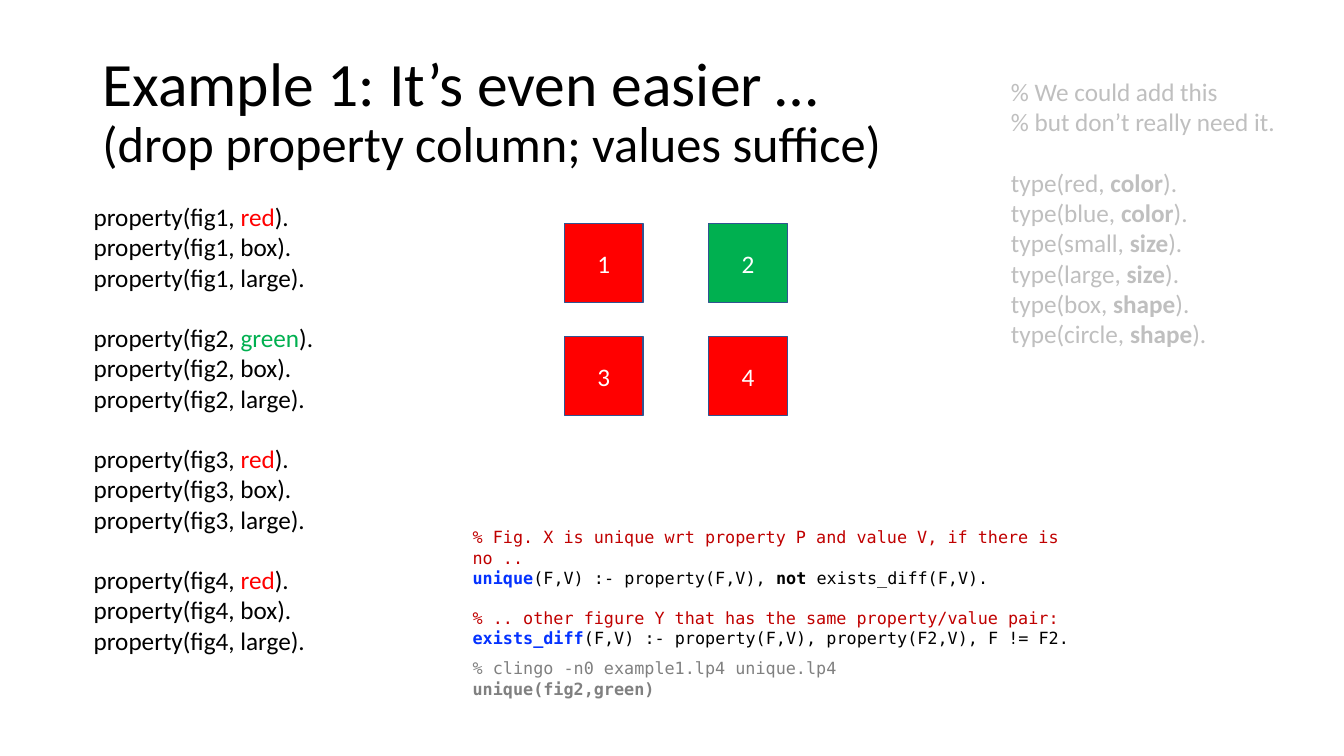
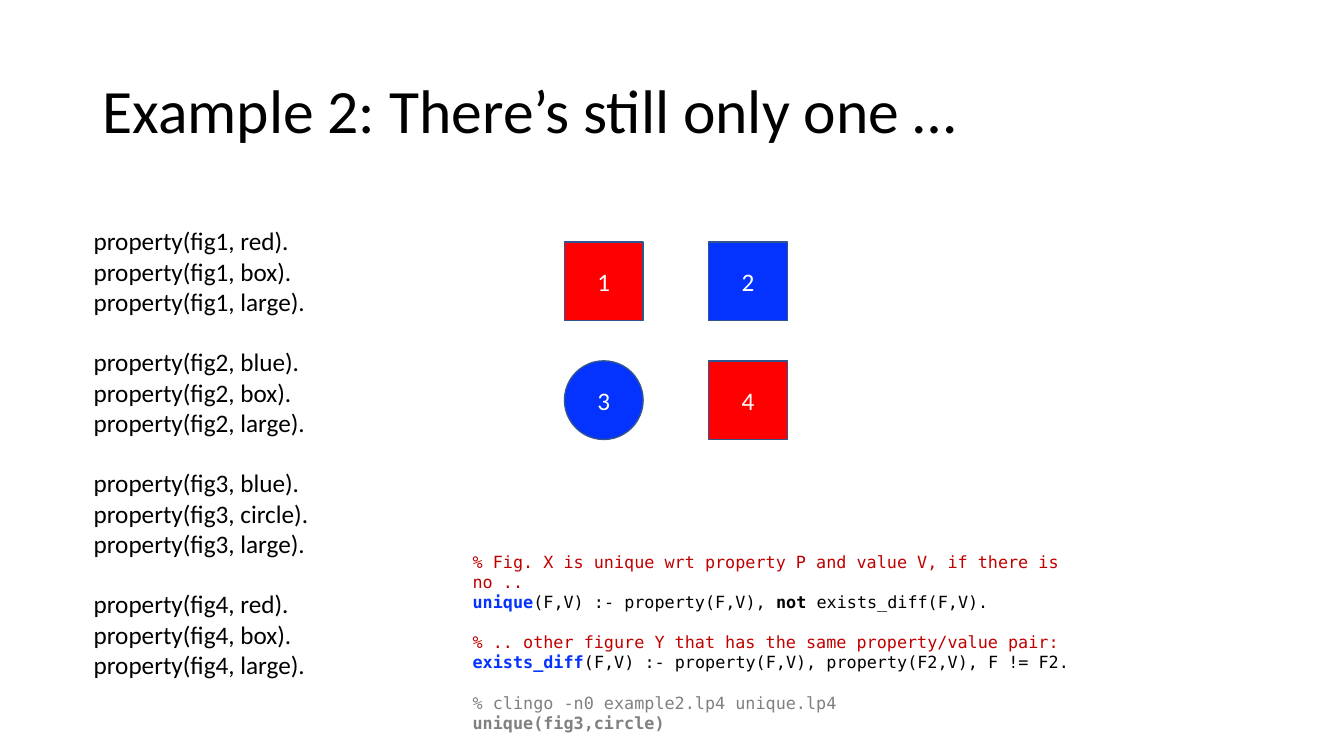
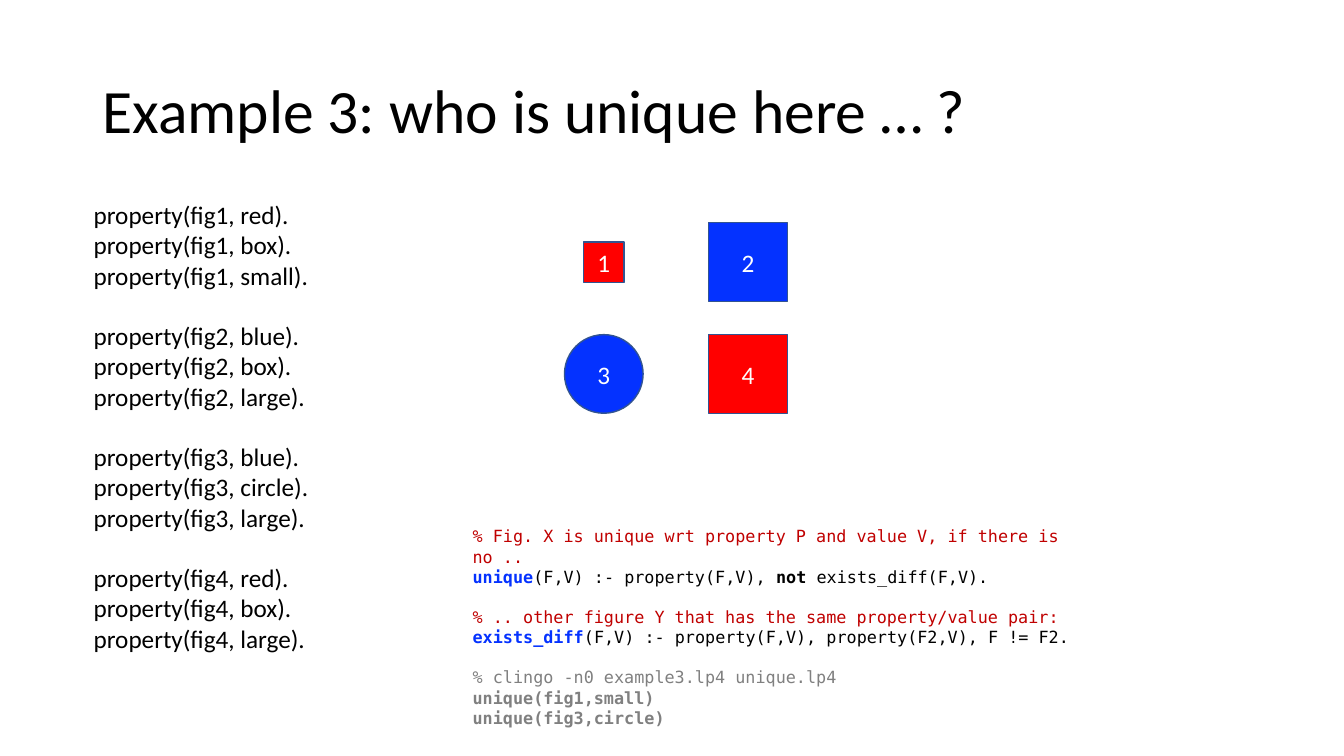
from dataclasses import dataclass, field

import pptx
import pptx.dml.color
import pptx.enum.shapes
import pptx.enum.text
import pptx.util

WIDTH, HEIGHT = pptx.util.Inches(13.33), pptx.util.Inches(7.5)
COLORS = {
    "black": "000000", "white": "FFFFFF", "red": "FF0000", "green": "00B050",
    "blue": "0432FF", "comment": "C00000", "output": "808080",
    "aside": "BFBFBF", "outline": "325491",
}
SHAPES = {
    "box": pptx.enum.shapes.MSO_SHAPE.RECTANGLE,
    "circle": pptx.enum.shapes.MSO_SHAPE.OVAL,
}
# Figure sides, and the grid the figures stand on, in percent of the slide
SIDES = {"large": 5.85, "small": 3.0}
GRID_LEFT, COLUMN_STEP = 42.0, 10.73


@dataclass
class Area:
    """A rectangle in percent of the slide's width and height."""
    left: float
    top: float
    width: float
    height: float


@dataclass
class Style:
    """Font values, and the space that separates groups of lines."""
    font: dict
    gap: float = 0


@dataclass
class Span:
    text: str
    color: str = "black"
    bold: bool = False


Line = list[Span]
Group = list[Line]


@dataclass
class Figure:
    color: str
    shape: str = "box"
    size: str = "large"


@dataclass
class Example:
    number: int
    title: str
    figures: list[Figure]
    answers: list[str]
    facts_area: Area
    rules_area: Area
    grid_top: float
    row_step: float
    subtitle: str = ""
    color_words: bool = False
    answers_area: Area | None = None
    aside: list[Group] = field(default_factory=list)


TITLE_AREA = Area(6.88, 5.33, 86.25, 19.33)
ASIDE_AREA = Area(74.48, 9.47, 21.38, 45.73)
TITLE = Style({"name": "Calibri", "size": pptx.util.Pt(44)})
SUBTITLE = Style({"name": "Calibri", "size": pptx.util.Pt(36)})
BODY = Style({"name": "Calibri", "size": pptx.util.Pt(18)}, gap=21.6)
CODE = Style({"name": "DejaVu Sans Mono", "size": pptx.util.Pt(12)}, gap=14.4)

RULES: list[Group] = [
    [
        [Span("% Fig. X is unique wrt property P and value V, if there is no ..", "comment")],
        [Span("unique", "blue", True), Span("(F,V) :- property(F,V), "),
         Span("not ", bold=True), Span("exists_diff(F,V).")],
    ],
    [
        [Span("% .. other figure Y that has the same property/value pair:", "comment")],
        [Span("exists_diff", "blue", True),
         Span("(F,V) :- property(F,V), property(F2,V), F != F2.")],
    ],
]

TYPES = {"red": "color", "blue": "color", "small": "size", "large": "size",
         "box": "shape", "circle": "shape"}
ASIDE: list[Group] = [
    [[Span(text, "aside")] for text in ("% We could add this", "% but don’t really need it.")],
    [[Span(f"type({value}, ", "aside"), Span(kind, "aside", True), Span(").", "aside")]
     for value, kind in TYPES.items()],
]

EXAMPLES = [
    Example(
        1, "It’s even easier …",
        [Figure("red"), Figure("green"), Figure("red"), Figure("red")],
        ["unique(fig2,green)"],
        Area(6.23, 26, 18.38, 70), Area(34.43, 69.07, 49.13, 14.8), 29.6, 14.93,
        subtitle="(drop property column; values suffice)", color_words=True,
        answers_area=Area(34.43, 86.4, 49.13, 6.67), aside=ASIDE,
    ),
    Example(
        2, "There’s still only one …",
        [Figure("red"), Figure("blue"), Figure("blue", "circle"), Figure("red")],
        ["unique(fig3,circle)"],
        Area(6.23, 29.2, 17.7, 61.87), Area(34.43, 72.27, 49.13, 22.93), 32, 15.73,
    ),
    Example(
        3, "who is unique here … ?",
        [Figure("red", size="small"), Figure("blue"), Figure("blue", "circle"), Figure("red")],
        ["unique(fig1,small)", "unique(fig3,circle)"],
        Area(6.23, 25.73, 17.7, 61.87), Area(34.43, 68.93, 49.13, 25.6), 29.47, 14.8,
    ),
]


def across(percent: float) -> int:
    return round(WIDTH * percent / 100)


def down(percent: float) -> int:
    return round(HEIGHT * percent / 100)


def rgb(name: str) -> pptx.dml.color.RGBColor:
    return pptx.dml.color.RGBColor.from_string(COLORS[name])


def add_span(para, part: Span, style: Style) -> None:
    span = para.add_run()
    span.text = part.text
    for name, value in {**style.font, "bold": part.bold}.items():
        setattr(span.font, name, value)
    span.font.color.rgb = rgb(part.color)


def add_box(page, area: Area):
    return page.shapes.add_textbox(
        across(area.left), down(area.top), across(area.width), down(area.height))


def add_text(page, area: Area, groups: list[Group], style: Style, wrap: bool) -> None:
    """Write groups of lines, one paragraph a line, with a gap between groups."""
    frame = add_box(page, area).text_frame
    frame.word_wrap = wrap
    frame.auto_size = pptx.enum.text.MSO_AUTO_SIZE.SHAPE_TO_FIT_TEXT
    para = None
    for group in groups:
        for index, line in enumerate(group):
            starts_group = para is not None and index == 0
            para = frame.paragraphs[0] if para is None else frame.add_paragraph()
            if starts_group:
                para.space_before = pptx.util.Pt(style.gap)
            for part in line:
                add_span(para, part, style)


def add_title(page, example: Example) -> None:
    frame = add_box(page, TITLE_AREA).text_frame
    frame.word_wrap = True
    frame.vertical_anchor = pptx.enum.text.MSO_ANCHOR.MIDDLE
    para = frame.paragraphs[0]
    para.line_spacing = 0.9
    add_span(para, Span(f"Example {example.number}: {example.title}"), TITLE)
    if example.subtitle:
        para.add_line_break()
        add_span(para, Span(example.subtitle), SUBTITLE)


def add_figures(page, example: Example) -> None:
    """Draw the numbered figures, two a row, each centred in its cell."""
    group = page.shapes.add_group_shape()
    cell = across(SIDES["large"])
    for index, figure in enumerate(example.figures):
        row, column = divmod(index, 2)
        side = across(SIDES[figure.size])
        inset = (cell - side) // 2
        shape = group.shapes.add_shape(
            SHAPES[figure.shape],
            across(GRID_LEFT + column * COLUMN_STEP) + inset,
            down(example.grid_top + row * example.row_step) + inset,
            side, side)
        shape.shadow.inherit = False
        shape.fill.solid()
        shape.fill.fore_color.rgb = rgb(figure.color)
        shape.line.color.rgb = rgb("outline")
        shape.line.width = pptx.util.Pt(1)
        shape.text_frame.vertical_anchor = pptx.enum.text.MSO_ANCHOR.MIDDLE
        para = shape.text_frame.paragraphs[0]
        para.alignment = pptx.enum.text.PP_ALIGN.CENTER
        add_span(para, Span(str(index + 1), "white"), BODY)


def figure_facts(example: Example) -> list[Group]:
    """State the colour, shape and size of each figure."""
    groups = []
    for number, figure in enumerate(example.figures, 1):
        start = f"property(fig{number}, "
        if example.color_words:
            first = [Span(start), Span(figure.color, figure.color), Span(").")]
        else:
            first = [Span(f"{start}{figure.color}).")]
        rest = [[Span(f"{start}{value}).")] for value in (figure.shape, figure.size)]
        groups.append([first, *rest])
    return groups


def solver_output(example: Example) -> Group:
    command = Span(f"% clingo -n0 example{example.number}.lp4 unique.lp4", "output")
    return [[command], *([Span(answer, "output", True)] for answer in example.answers)]


def add_example(deck, example: Example) -> None:
    page = deck.slides.add_slide(deck.slide_layouts[6])
    add_title(page, example)
    add_text(page, example.facts_area, figure_facts(example), BODY, wrap=False)
    add_figures(page, example)

    # Rules, with the solver's output below or in a box of its own
    output = solver_output(example)
    if example.answers_area:
        add_text(page, example.rules_area, RULES, CODE, wrap=True)
        add_text(page, example.answers_area, [output], CODE, wrap=True)
    else:
        add_text(page, example.rules_area, [*RULES, output], CODE, wrap=True)

    if example.aside:
        add_text(page, ASIDE_AREA, example.aside, BODY, wrap=False)


def main() -> None:
    deck = pptx.Presentation()
    deck.slide_width, deck.slide_height = WIDTH, HEIGHT
    for example in EXAMPLES:
        add_example(deck, example)
    deck.save("out.pptx")


if __name__ == "__main__":
    main()
